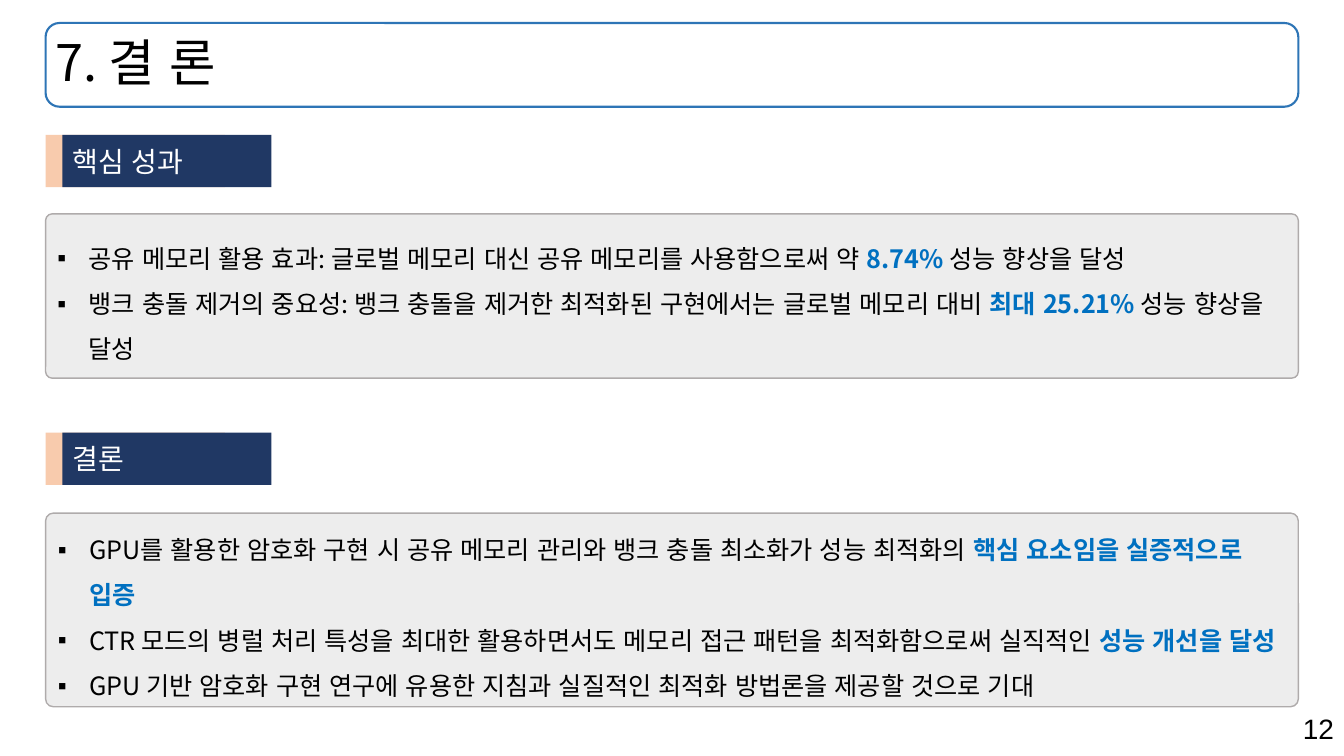
from lxml import etree
from pptx import Presentation
from pptx.dml.color import RGBColor
from pptx.enum import shapes, text
from pptx.oxml import ns
from pptx.util import Cm, Pt

HUES = {
    "black": "000000", "white": "FFFFFF", "frame": "2E75B6", "panel": "EDEDED",
    "edge": "AFABAB", "peach": "F8CBAD", "navy": "203864", "key": "0070C0",
}
RGB = {name: RGBColor.from_string(code) for name, code in HUES.items()}
KOREAN, PLAIN = "Noto Sans CJK KR", "Arial"
LEFT, WIDE = 1.15, 31.57
KIND = shapes.MSO_SHAPE


def add_box(tree, kind, left, top, width, height, fill=None, line=None, weight=1):
    box = tree.add_shape(kind, Cm(left), Cm(top), Cm(width), Cm(height))
    box.shadow.inherit = False
    if fill:
        box.fill.solid()
        box.fill.fore_color.rgb = RGB[fill]
    else:
        box.fill.background()
    if line:
        box.line.color.rgb = RGB[line]
        box.line.width = Pt(weight)
    else:
        box.line.fill.background()
    box.text_frame.word_wrap = True
    box.text_frame.vertical_anchor = text.MSO_ANCHOR.MIDDLE
    return box


def style(para, size, hue, face=KOREAN, align=text.PP_ALIGN.LEFT):
    """Set the paragraph font; East Asian spaces take the wider plain face."""
    para.alignment = align
    font = para.font
    font.size, font.name = Pt(size), face
    font.color.rgb = RGB[hue]
    latin = para._p.pPr.find(".//" + ns.qn("a:latin"))
    east = etree.Element(ns.qn("a:ea"), typeface=PLAIN)
    latin.addnext(east)


deck = Presentation()
deck.slide_width, deck.slide_height = Cm(33.87), Cm(19.05)
slide = deck.slides.add_slide(deck.slide_layouts[6])
tree = slide.shapes

# Page number and title
page = tree.add_textbox(Cm(23.96), Cm(17.81), Cm(9.91), Cm(1.12))
page.text_frame.word_wrap = True
para = page.text_frame.paragraphs[0]
para.text = "12"
style(para, 20, "black", PLAIN, text.PP_ALIGN.RIGHT)

add_box(tree, KIND.ROUNDED_RECTANGLE, LEFT, 0.58, WIDE, 2.11, line="frame", weight=1.5)
title = tree.add_textbox(Cm(LEFT), Cm(0.58), Cm(WIDE), Cm(2.11))
title.text_frame.word_wrap = True
title.text_frame.vertical_anchor = text.MSO_ANCHOR.MIDDLE
para = title.text_frame.paragraphs[0]
para.text = "7. 결 론"
para.line_spacing = 0.9
style(para, 36, "black")

# Sections: label, label top, panel top, panel height, bullets.
# Each bullet alternates plain and highlighted parts.
parts = [
    ("핵심 성과", 3.4, 5.39, 4.14, [
        ["공유 메모리 활용 효과: 글로벌 메모리 대신 공유 메모리를 사용함으로써 약 ",
         "8.74% ", "성능 향상을 달성"],
        ["뱅크 충돌 제거의 중요성: 뱅크 충돌을 제거한 최적화된 구현에서는 글로벌 메모리 대비 ",
         "최대 25.21% ", "성능 향상을 달성"],
    ]),
    ("결론", 10.9, 12.93, 4.88, [
        ["GPU를 활용한 암호화 구현 시 공유 메모리 관리와 뱅크 충돌 최소화가 성능 최적화의 ",
         "핵심 요소임을 실증적으로 입증"],
        ["CTR 모드의 병럴 처리 특성을 최대한 활용하면서도 메모리 접근 패턴을 최적화함으로써 실직적인 ",
         "성능 개선을 달성"],
        ["GPU 기반 암호화 구현 연구에 유용한 지침과 실질적인 최적화 방법론을 제공할 것으로 기대"],
    ]),
]

for label, top, base, height, items in parts:
    panel = add_box(tree, KIND.ROUNDED_RECTANGLE, LEFT, base, WIDE, height, "panel", "edge")
    panel.adjustments[0] = 0.04
    frame = panel.text_frame
    for index, item in enumerate(items):
        para = frame.paragraphs[0] if index == 0 else frame.add_paragraph()
        para.line_spacing = 1.5
        props = para._p.get_or_add_pPr()
        props.set("marL", str(Cm(0.79)))
        props.set("indent", str(-Cm(0.79)))
        etree.SubElement(props, ns.qn("a:buFont"), typeface=PLAIN)
        etree.SubElement(props, ns.qn("a:buChar"), char="▪")
        style(para, 18, "black")
        for turn, words in enumerate(item):
            run = para.add_run()
            run.text = words
            run.font.bold = turn % 2 == 1
            run.font.color.rgb = RGB["key" if turn % 2 else "black"]

    group = tree.add_group_shape().shapes
    add_box(group, KIND.RECTANGLE, LEFT, top, 4.52, 1.32, "peach")
    tag = add_box(group, KIND.RECTANGLE, 1.57, top, 5.27, 1.32, "navy")
    para = tag.text_frame.paragraphs[0]
    para.text = label
    style(para, 20, "white")

deck.save("out.pptx")
